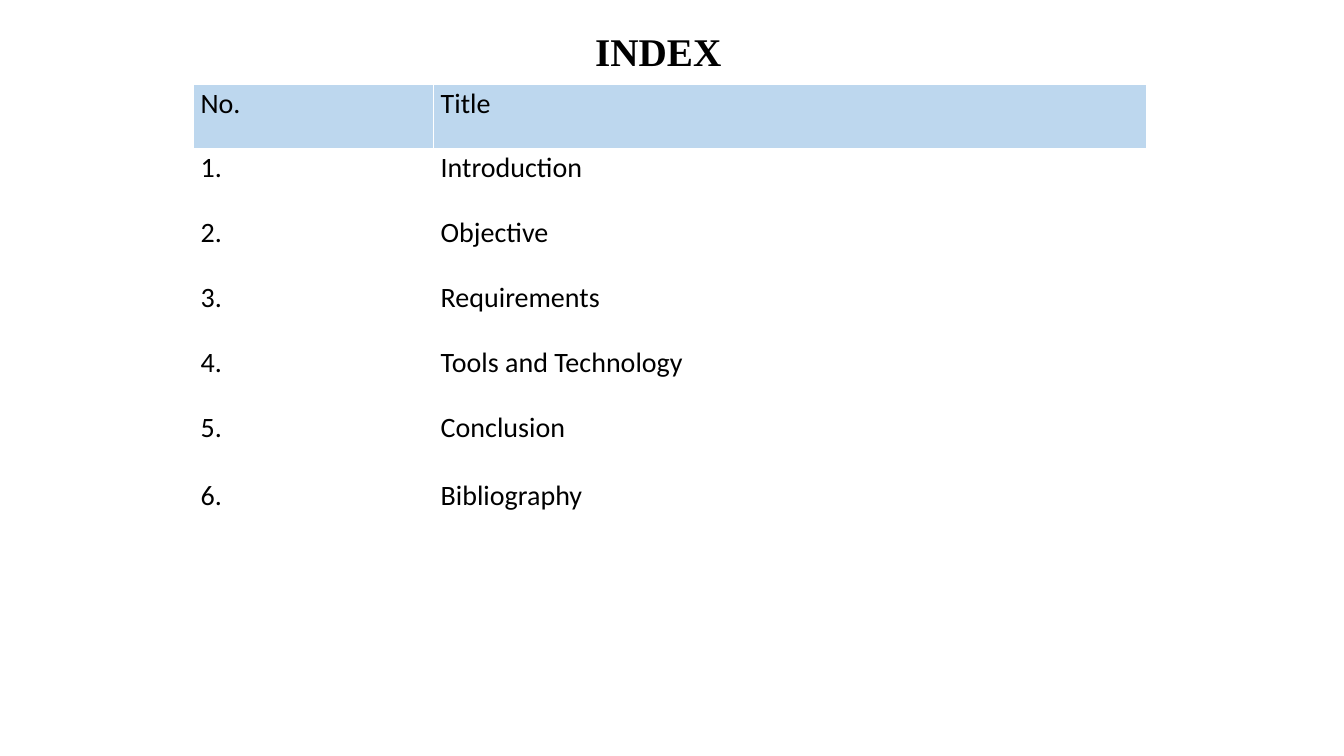
from dataclasses import dataclass

from lxml import etree
from pptx import Presentation
from pptx.dml.color import RGBColor
from pptx.enum.text import MSO_ANCHOR, PP_ALIGN
from pptx.oxml.ns import qn
from pptx.util import Pt

TOP = MSO_ANCHOR.TOP
LEFT, CENTER = PP_ALIGN.LEFT, PP_ALIGN.CENTER


@dataclass(frozen=True)
class Theme:
    text: str = "000000"
    header: str = "BDD7EE"
    border: str = "FFFFFF"
    title_font: str = "Times New Roman"
    body_font: str = "Calibri"
    title_size: float = 28
    body_size: float = 20


class IndexSlide:
    def __init__(self, prs, theme):
        self.theme = theme
        self.s = prs.slides.add_slide(prs.slide_layouts[6])

    def run(self, p, text, font, size, bold=False):
        r = p.add_run()
        r.text = text
        r.font.name = font
        r.font.size = Pt(size)
        r.font.bold = bold
        r.font.color.rgb = RGBColor.from_string(self.theme.text)

    def title(self, text, x, y, w, h, indent):
        sp = self.s.shapes.add_textbox(Pt(x), Pt(y), Pt(w), Pt(h))
        tf = sp.text_frame
        tf.word_wrap = True
        tf.vertical_anchor = TOP
        tf.margin_top = Pt(6)
        p = tf.paragraphs[0]
        p.alignment = CENTER
        p._p.get_or_add_pPr().set("indent", str(Pt(indent)))
        self.run(p, text, self.theme.title_font, self.theme.title_size, bold=True)

    def borders(self, cell):
        tc_pr = cell._tc.get_or_add_tcPr()
        for side in ("lnL", "lnR", "lnT", "lnB"):
            ln = etree.SubElement(tc_pr, qn(f"a:{side}"), w=str(Pt(1)))
            fill = etree.SubElement(ln, qn("a:solidFill"))
            etree.SubElement(fill, qn("a:srgbClr"), val=self.theme.border)

    def cell(self, cell, text, space_before, is_header):
        cell.margin_left = Pt(5)
        cell.margin_right = cell.margin_top = cell.margin_bottom = 0
        cell.vertical_anchor = TOP
        self.borders(cell)
        if is_header:
            cell.fill.solid()
            cell.fill.fore_color.rgb = RGBColor.from_string(self.theme.header)
        else:
            cell.fill.background()
        p = cell.text_frame.paragraphs[0]
        p.alignment = LEFT
        p.line_spacing = 1.07
        p.space_before = Pt(space_before)
        self.run(p, text, self.theme.body_font, self.theme.body_size)

    def table(self, rows, widths, x, y):
        """Each row is (number, title, height, space before the text)."""
        height = sum(row[2] for row in rows)
        frame = self.s.shapes.add_table(
            len(rows), len(widths), Pt(x), Pt(y), Pt(sum(widths)), Pt(height))
        table = frame.table
        table.first_row = table.horz_banding = False
        for column, width in zip(table.columns, widths):
            column.width = Pt(width)
        for i, (number, title, row_height, space) in enumerate(rows):
            table.rows[i].height = Pt(row_height)
            for j, text in enumerate((number, title)):
                self.cell(table.cell(i, j), text, space, is_header=i == 0)


def main():
    prs = Presentation()
    prs.slide_width, prs.slide_height = Pt(960), Pt(540)
    slide = IndexSlide(prs, Theme())
    slide.table(
        [
            ("No.", "Title", 46, 0.2),
            ("1.", "Introduction", 46.8, 0.4),
            ("2.", "Objective", 46, 0.2),
            ("3.", "Requirements", 46.8, 0.4),
            ("4.", "Tools and Technology", 46, 0.2),
            ("5.", "Conclusion", 49, 0.2),
            ("6.", "Bibliography", 49, 0.4),
        ],
        widths=(171.5, 509), x=138.3, y=60)
    slide.title("INDEX", x=335.5, y=13.7, w=233.3, h=60.5, indent=36)
    prs.save("out.pptx")


if __name__ == "__main__":
    main()
